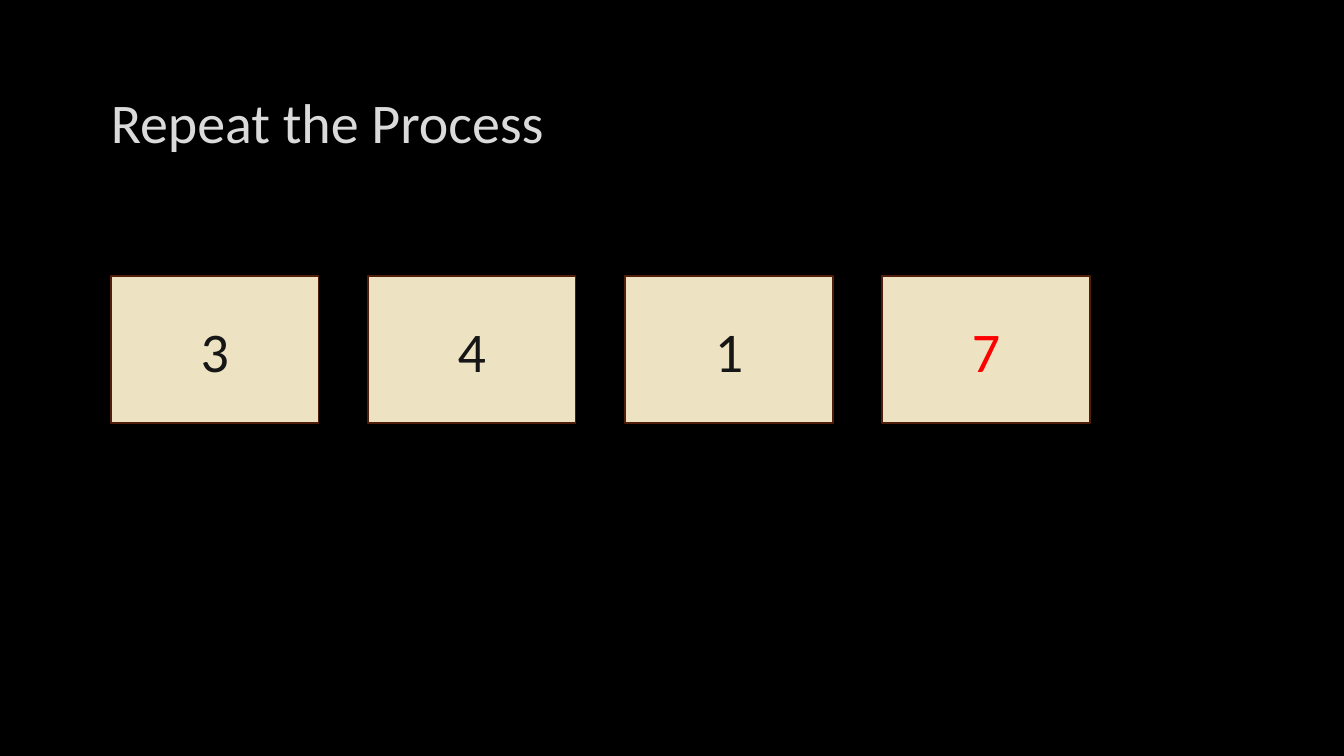
from pptx import Presentation
from pptx.dml.color import RGBColor
from pptx.enum import shapes, text
from pptx.util import Inches, Pt

TITLE = "Repeat the Process"
CARDS = [("3", "ink"), ("4", "ink"), ("1", "ink"), ("7", "accent")]
COLORS = {
    "background": "000000",
    "title": "DADADA",
    "card": "EDE3C3",
    "border": "521E0C",
    "ink": "161616",
    "accent": "FF0000",
}
LEFT, TOP, PITCH = 1.1, 2.74, 2.55
CARD_W, CARD_H = 2.06, 1.46


def color(name):
    return RGBColor.from_string(COLORS[name])


def write(sp, content, fill="ink", size=40, align=text.PP_ALIGN.LEFT):
    tf = sp.text_frame
    tf.word_wrap = True
    tf.vertical_anchor = text.MSO_ANCHOR.MIDDLE
    p = tf.paragraphs[0]
    p.alignment = align
    r = p.add_run()
    r.text = content
    r.font.name = "Calibri"
    r.font.size = Pt(size)
    r.font.color.rgb = color(fill)


def add_card(s, column, number, fill):
    sp = s.shapes.add_shape(
        shapes.MSO_SHAPE.RECTANGLE,
        Inches(LEFT + column * PITCH), Inches(TOP), Inches(CARD_W), Inches(CARD_H),
    )
    sp.shadow.inherit = False
    sp.fill.solid()
    sp.fill.fore_color.rgb = color("card")
    sp.line.color.rgb = color("border")
    sp.line.width = Pt(1.25)
    write(sp, number, fill=fill, align=text.PP_ALIGN.CENTER)


def main():
    prs = Presentation()
    prs.slide_width, prs.slide_height = Inches(13.33), Inches(7.5)
    s = prs.slides.add_slide(prs.slide_layouts[6])
    s.background.fill.solid()
    s.background.fill.fore_color.rgb = color("background")

    title = s.shapes.add_textbox(Inches(1), Inches(0.67), Inches(11.32), Inches(1.06))
    write(title, TITLE, fill="title")

    for column, (number, fill) in enumerate(CARDS):
        add_card(s, column, number, fill)

    prs.save("out.pptx")


if __name__ == "__main__":
    main()
